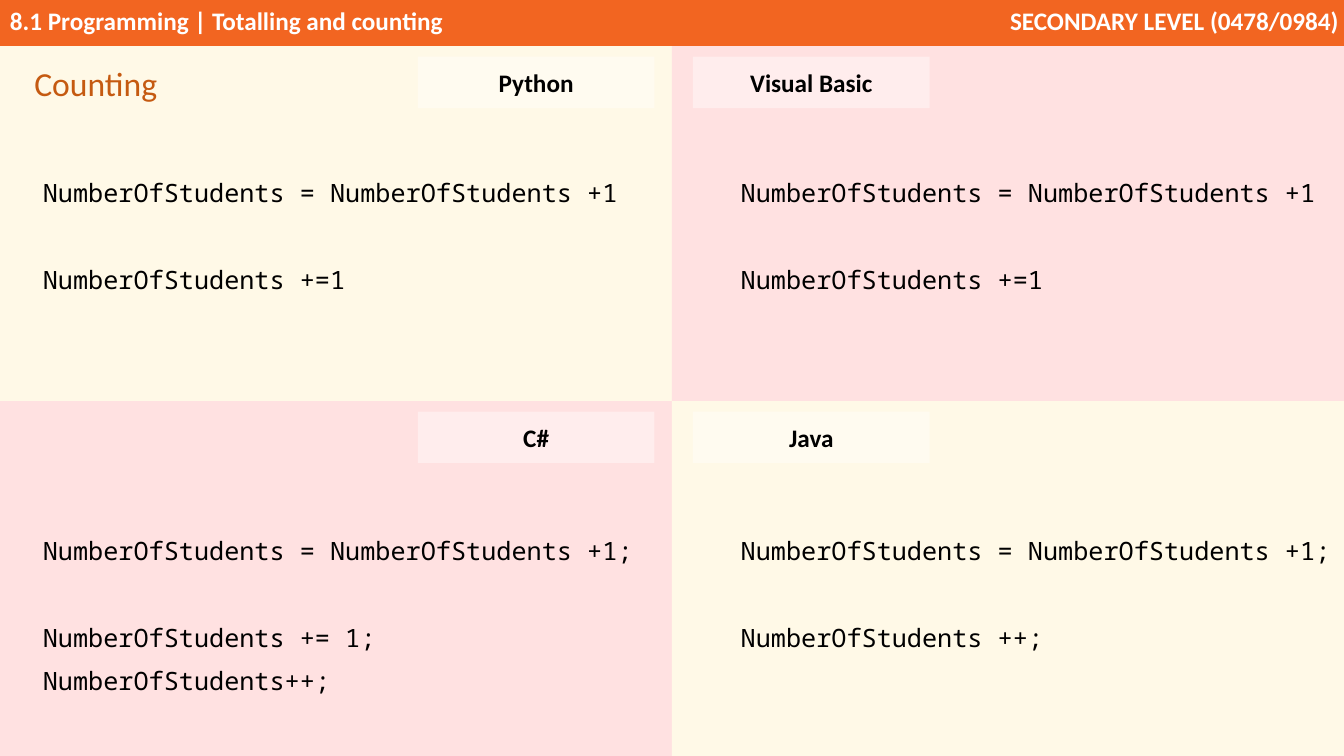
import pptx
import pptx.util
import pptx.dml.color
import pptx.enum.shapes
import pptx.enum.text
import pptx.oxml
import pptx.oxml.ns

Pt = pptx.util.Pt
Rgb = pptx.dml.color.RGBColor.from_string
Align = pptx.enum.text.PP_ALIGN
Anchor = pptx.enum.text.MSO_ANCHOR


class Theme:
    orange = "F26521"
    cream = "FFF9E7"
    pink = "FFE1E1"
    white = "FFFFFF"
    black = "000000"
    brown = "C55A11"
    sans = "Calibri"
    mono = "Noto Sans Mono"
    head = 24
    text = 18


def add_box(left, top, width, height, color):
    box = slide.shapes.add_shape(
        pptx.enum.shapes.MSO_SHAPE.RECTANGLE, Pt(left), Pt(top), Pt(width), Pt(height))
    box.shadow.inherit = False
    box.fill.solid()
    box.fill.fore_color.rgb = Rgb(color)
    box.line.fill.background()
    return box


def style(frame, face, size, color, bold, align, anchor):
    frame.word_wrap = True
    frame.vertical_anchor = anchor
    for para in frame.paragraphs:
        para.alignment = align
        for run in para.runs:
            run.font.name = face
            run.font.size = Pt(size)
            run.font.bold = bold
            run.font.color.rgb = Rgb(color)


deck = pptx.Presentation()
deck.slide_width = Pt(960)
deck.slide_height = Pt(540)
slide = deck.slides.add_slide(deck.slide_layouts[5])

banners = [
    ("8.1 Programming | Totalling and counting", 0, 795, 7.2, Align.LEFT),
    ("SECONDARY LEVEL (0478/0984)", 716.5, 243.5, 0, Align.RIGHT),
]
for text, left, width, inset, align in banners:
    bar = add_box(left, 0, width, 33, Theme.orange)
    frame = bar.text_frame
    frame.text = text
    frame.margin_left = Pt(inset)
    frame.margin_right = Pt(3.6)
    style(frame, Theme.sans, Theme.text, Theme.white, True, align, Anchor.TOP)

for row in range(2):
    for col in range(2):
        color = Theme.cream if row == col else Theme.pink
        add_box(480 * col, 33 + 253.5 * row, 480, 253.5, color)

title = slide.shapes.title
slide.shapes._spTree.append(title._element)
title.left, title.top, title.width, title.height = Pt(17.3), Pt(39.6), Pt(417), Pt(36.7)
frame = title.text_frame
frame.text = "Counting"
frame.auto_size = pptx.enum.text.MSO_AUTO_SIZE.NONE
frame.paragraphs[0].line_spacing = 1.07
style(frame, Theme.sans, Theme.head, Theme.brown, False, Align.LEFT, Anchor.TOP)

panels = [
    ("Python", ["NumberOfStudents = NumberOfStudents +1", "NumberOfStudents +=1"]),
    ("Visual Basic", ["NumberOfStudents = NumberOfStudents +1", "NumberOfStudents +=1"]),
    ("C#", ["NumberOfStudents = NumberOfStudents +1;", "NumberOfStudents += 1;",
            "NumberOfStudents++;"]),
    ("Java", ["NumberOfStudents = NumberOfStudents +1;", "NumberOfStudents ++;"]),
]
for index, (name, lines) in enumerate(panels):
    row, col = divmod(index, 2)

    label = add_box((298.5, 495)[col], 40.5 + 253.5 * row, 169, 36.7, Theme.white)
    fill = label.fill._xPr.find(".//" + pptx.oxml.ns.qn("a:srgbClr"))
    fill.append(pptx.oxml.parse_xml(
        "<a:alpha %s val='40000'/>" % pptx.oxml.ns.nsdecls("a")))
    label.text_frame.text = name
    style(label.text_frame, Theme.sans, Theme.text, Theme.black, True,
          Align.CENTER, Anchor.MIDDLE)

    code = slide.shapes.add_textbox(
        Pt((23.5, 522)[col]), Pt((121.5, 377.3)[row]),
        Pt((450, 438)[col]), Pt(92 + 31 * (len(lines) - 2)))
    frame = code.text_frame
    frame.text = "\n".join(lines)
    style(frame, Theme.mono, Theme.text, Theme.black, False, Align.LEFT, Anchor.TOP)
    for para in frame.paragraphs:
        para.line_spacing = 1.07
        para.space_after = Pt(8)
    frame.paragraphs[1].space_before = Pt(31)

deck.save("out.pptx")
